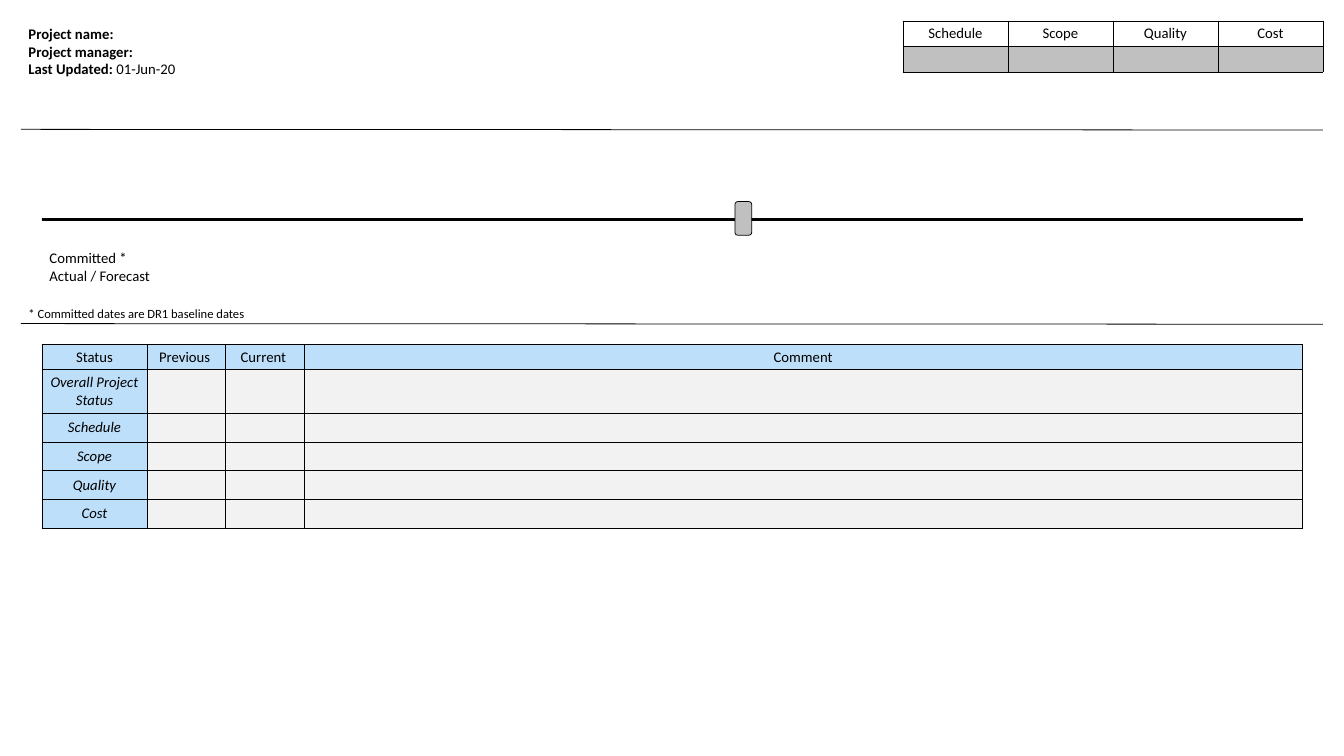
from dataclasses import dataclass
from lxml import etree
from pptx import Presentation, util as u
from pptx.dml.color import RGBColor
from pptx.enum import shapes, text
from pptx.oxml.ns import qn

Pt = u.Pt


@dataclass(frozen=True)
class Theme:
    font: str = "Calibri"
    ink: str = "000000"
    grey: str = "C0C0C0"
    blue: str = "BDDFFA"
    pale: str = "F2F2F2"
    body: int = 14
    note: int = 12
    line: float = 0.75


T = Theme()
WIDE, HIGH = 1280, 720
EDGE, INSET = 20, 40

# Each line is a list of (words, bold) runs
HEADER = [
    [("Project name: ", True)],
    [("Project manager: ", True)],
    [("Last Updated: ", True), ("01-Jun-20", False)],
]
DATES = [[("Committed *", False)], [("Actual / Forecast", False)]]
NOTE = [[("* Committed dates are DR1 baseline dates", False)]]

AREAS = ["Schedule", "Scope", "Quality", "Cost"]
HEADS = ["Status", "Previous ", "Current ", "Comment"]
TOPICS = ["Overall Project Status"] + AREAS
COLS = [100, 75, 75, 950]
ROWS = [24, 41.5] + [27.4] * len(AREAS)
RULES = [123.2, 308.2]

prs = Presentation()
prs.slide_width, prs.slide_height = Pt(WIDE), Pt(HIGH)
slide = prs.slides.add_slide(prs.slide_layouts[6])


def color(code):
    return RGBColor.from_string(code)


def add_run(para, words, size=T.body, bold=False, italic=False):
    run = para.add_run()
    run.text = words
    font = run.font
    font.name, font.size = T.font, Pt(size)
    font.bold, font.italic = bold, italic
    font.color.rgb = color(T.ink)


def add_text(lines, x, y, w, h, size=T.body):
    frame = slide.shapes.add_textbox(Pt(x), Pt(y), Pt(w), Pt(h)).text_frame
    frame.word_wrap = True
    para = frame.paragraphs[0]
    for i, line in enumerate(lines):
        if i:
            para.add_line_break()
        for words, bold in line:
            add_run(para, words, size, bold)


def add_rule(y):
    rule = slide.shapes.add_connector(
        shapes.MSO_CONNECTOR.STRAIGHT, Pt(EDGE), Pt(y), Pt(WIDE - EDGE), Pt(y + 0.6))
    rule.line.color.rgb = color(T.ink)
    rule.line.width = Pt(T.line)
    etree.SubElement(rule.element.spPr, qn("a:effectLst"))


def add_box(kind, x, y, w, h, fill):
    box = slide.shapes.add_shape(kind, Pt(x), Pt(y), Pt(w), Pt(h))
    box.shadow.inherit = False
    box.fill.solid()
    box.fill.fore_color.rgb = color(fill)
    box.line.color.rgb = color(T.ink)
    box.line.width = Pt(T.line)


def set_border(cell):
    props = cell._tc.get_or_add_tcPr()
    for i, side in enumerate(("lnL", "lnR", "lnT", "lnB")):
        line = etree.Element(qn("a:" + side), w=str(Pt(T.line)))
        fill = etree.SubElement(line, qn("a:solidFill"))
        etree.SubElement(fill, qn("a:srgbClr"), val=T.ink)
        props.insert(i, line)


def set_cell(cell, words, fill, italic, anchor):
    cell.vertical_anchor = anchor
    para = cell.text_frame.paragraphs[0]
    para.alignment = text.PP_ALIGN.CENTER
    if words:
        add_run(para, words, italic=italic)
    else:
        etree.SubElement(para._p, qn("a:endParaRPr"), sz=str(T.body * 100))
    if fill:
        cell.fill.solid()
        cell.fill.fore_color.rgb = color(fill)
    else:
        cell.fill.background()
    set_border(cell)


def add_grid(cells, x, y, cols, rows, anchor):
    """Draw a table from rows of (words, fill, italic) cells."""
    table = slide.shapes.add_table(
        len(rows), len(cols), Pt(x), Pt(y), Pt(sum(cols)), Pt(sum(rows))).table
    table.first_row = table.horz_banding = False
    for col, w in zip(table.columns, cols):
        col.width = Pt(w)
    for row, h, items in zip(table.rows, rows, cells):
        row.height = Pt(h)
        for cell, item in zip(row.cells, items):
            set_cell(cell, *item, anchor)


# Project details and health summary
add_text(HEADER, EDGE, 20, 500, 60)
health = [[(area, None, False) for area in AREAS],
          [("", T.grey, False)] * len(AREAS)]
add_grid(health, WIDE - EDGE - 400, 20, [100] * len(AREAS), [24.3] * 2,
         text.MSO_ANCHOR.TOP)
for y in RULES:
    add_rule(y)

# Timeline with its marker
add_box(shapes.MSO_SHAPE.RECTANGLE, INSET, 208, WIDE - 2 * INSET, 2, T.ink)
add_box(shapes.MSO_SHAPE.ROUNDED_RECTANGLE, 700, 192, 16, 32, T.grey)
add_text(DATES, INSET, 233.3, 140, 35)
add_text(NOTE, EDGE, 288, 250, 17, T.note)

# Status report
report = [[(head, T.blue, False) for head in HEADS]]
for topic in TOPICS:
    report.append([(topic, T.blue, True)] + [("", T.pale, False)] * 3)
add_grid(report, INSET, 328, COLS, ROWS, text.MSO_ANCHOR.MIDDLE)

prs.save("out.pptx")
